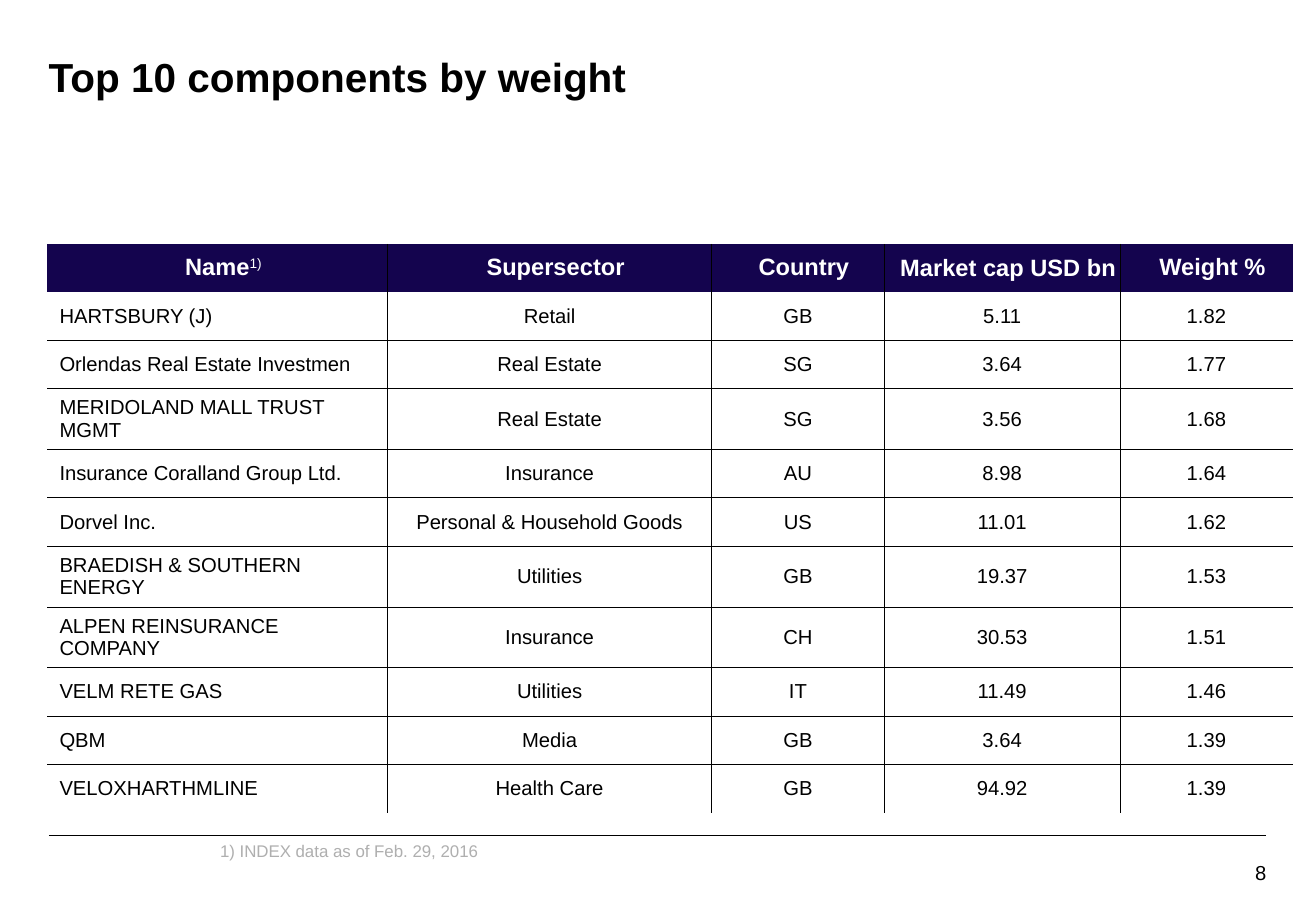
from lxml import etree
from pptx import Presentation
from pptx.dml.color import RGBColor
from pptx.enum.shapes import MSO_CONNECTOR
from pptx.enum.text import MSO_ANCHOR, PP_ALIGN
from pptx.oxml.ns import qn
from pptx.util import Cm, Pt

LEFT, CENTER, RIGHT = PP_ALIGN.LEFT, PP_ALIGN.CENTER, PP_ALIGN.RIGHT
MIDDLE = MSO_ANCHOR.MIDDLE
STRAIGHT = MSO_CONNECTOR.STRAIGHT

COLORS = {"ink": "000000", "paper": "FFFFFF", "navy": "14044E", "note": "AFAFAF"}
FONT = "Arial"
TITLE = {"size": Pt(24), "bold": True}
HEADER = {"size": Pt(14), "bold": True}
HEADER_MARK = {"size": Pt(14), "bold": False}
BODY = {"size": Pt(12), "bold": False}
NOTE = {"size": Pt(10), "bold": False}

COLUMN_WIDTHS = (7.11, 6.78, 3.6, 4.94, 3.6)
HEADINGS = ("Name", "Supersector", "Country", "Market cap USD bn", "Weight %")
COMPONENTS = (
    ("HARTSBURY (J)", "Retail", "GB", "5.11", "1.82"),
    ("Orlendas Real Estate Investmen", "Real Estate", "SG", "3.64", "1.77"),
    ("MERIDOLAND MALL TRUST MGMT", "Real Estate", "SG", "3.56", "1.68"),
    ("Insurance Coralland Group Ltd.", "Insurance", "AU", "8.98", "1.64"),
    ("Dorvel Inc.", "Personal & Household Goods", "US", "11.01", "1.62"),
    ("BRAEDISH & SOUTHERN ENERGY", "Utilities", "GB", "19.37", "1.53"),
    ("ALPEN REINSURANCE COMPANY", "Insurance", "CH", "30.53", "1.51"),
    ("VELM RETE GAS", "Utilities", "IT", "11.49", "1.46"),
    ("QBM", "Media", "GB", "3.64", "1.39"),
    ("VELOXHARTHMLINE", "Health Care", "GB", "94.92", "1.39"),
)


def rgb(name):
    return RGBColor.from_string(COLORS[name])


def add_run(p, text, style, color):
    r = p.add_run()
    r.text = text
    r.font.name = FONT
    r.font.color.rgb = rgb(color)
    for key, value in style.items():
        setattr(r.font, key, value)
    return r


def set_margins(target, left, top, right, bottom):
    margins = {"left": left, "top": top, "right": right, "bottom": bottom}
    for side, value in margins.items():
        setattr(target, f"margin_{side}", Cm(value))


def add_text(slide, box, text, style, color="ink", align=LEFT):
    tf = slide.shapes.add_textbox(*map(Cm, box)).text_frame
    tf.word_wrap = True
    set_margins(tf, 0, 0, 0, 0)
    p = tf.paragraphs[0]
    p.alignment = align
    add_run(p, text, style, color)


def set_borders(cell, drawn):
    """Rule the sides named in drawn and clear the others."""
    tc_pr = cell._tc.get_or_add_tcPr()
    for side in "LRTB":
        ln = etree.SubElement(tc_pr, qn(f"a:ln{side}"), w=str(Pt(0.5)))
        if side in drawn:
            fill = etree.SubElement(ln, qn("a:solidFill"))
            etree.SubElement(fill, qn("a:srgbClr"), val=COLORS["ink"])
        else:
            etree.SubElement(ln, qn("a:noFill"))


def inner_sides(row, col):
    """Sides shared with a neighbour; none between header and body."""
    sides = {
        "L": col > 0,
        "R": col < len(HEADINGS) - 1,
        "T": row > 1,
        "B": 0 < row < len(COMPONENTS),
    }
    return [side for side, shared in sides.items() if shared]


def fill_header_cell(cell, col, text):
    cell.fill.solid()
    cell.fill.fore_color.rgb = rgb("navy")
    pad = 0.2 if col else 0
    set_margins(cell, 0.25, pad, 0, pad)
    p = cell.text_frame.paragraphs[0]
    p.alignment = CENTER
    if text != "Market cap USD bn":
        p.line_spacing = 0.95
    add_run(p, text, HEADER, "paper")
    if text == "Name":
        mark = add_run(p, "1)", HEADER_MARK, "paper")
        mark._r.get_or_add_rPr().set("baseline", "30000")


def fill_body_cell(cell, col, text):
    cell.fill.background()
    p = cell.text_frame.paragraphs[0]
    p.alignment = CENTER if col else LEFT
    add_run(p, text, BODY, "ink")


def add_components_table(slide, box):
    rows = (HEADINGS, *COMPONENTS)
    frame = slide.shapes.add_table(len(rows), len(HEADINGS), *map(Cm, box))
    table = frame.table
    table.first_row = table.horz_banding = False
    for column, width in zip(table.columns, COLUMN_WIDTHS):
        column.width = Cm(width)
    for i, texts in enumerate(rows):
        table.rows[i].height = Cm(box[3] / len(rows))
        for j, text in enumerate(texts):
            cell = table.cell(i, j)
            cell.vertical_anchor = MIDDLE
            set_borders(cell, inner_sides(i, j))
            fill_cell = fill_body_cell if i else fill_header_cell
            fill_cell(cell, j, text)


def add_footer(slide, box):
    """Rule along the top of the box, footnote and page number below."""
    x, y, w, h = box
    rule = slide.shapes.add_connector(STRAIGHT, Cm(x), Cm(y), Cm(x + w), Cm(y))
    rule.line.color.rgb = rgb("ink")
    rule.line.width = Pt(1)
    etree.SubElement(rule._element.spPr, qn("a:effectLst"))
    add_text(slide, (x + 3.58, y + 0.1, 21.08, 0.6),
             "1) INDEX data as of Feb. 29, 2016", NOTE, "note")
    add_text(slide, (x + w - 2.26, y + h - 0.48, 2.26, 0.48), "8", BODY, align=RIGHT)


def main():
    prs = Presentation()
    prs.slide_width, prs.slide_height = Cm(27.51), Cm(19.05)
    slide = prs.slides.add_slide(prs.slide_layouts[6])
    add_text(slide, (1.02, 1.09, 25.45, 2.13), "Top 10 components by weight", TITLE)
    add_components_table(slide, (0.99, 5.1, sum(COLUMN_WIDTHS), 11.11))
    add_footer(slide, (1.02, 17.47, 25.45, 0.99))
    prs.save("out.pptx")


if __name__ == "__main__":
    main()
